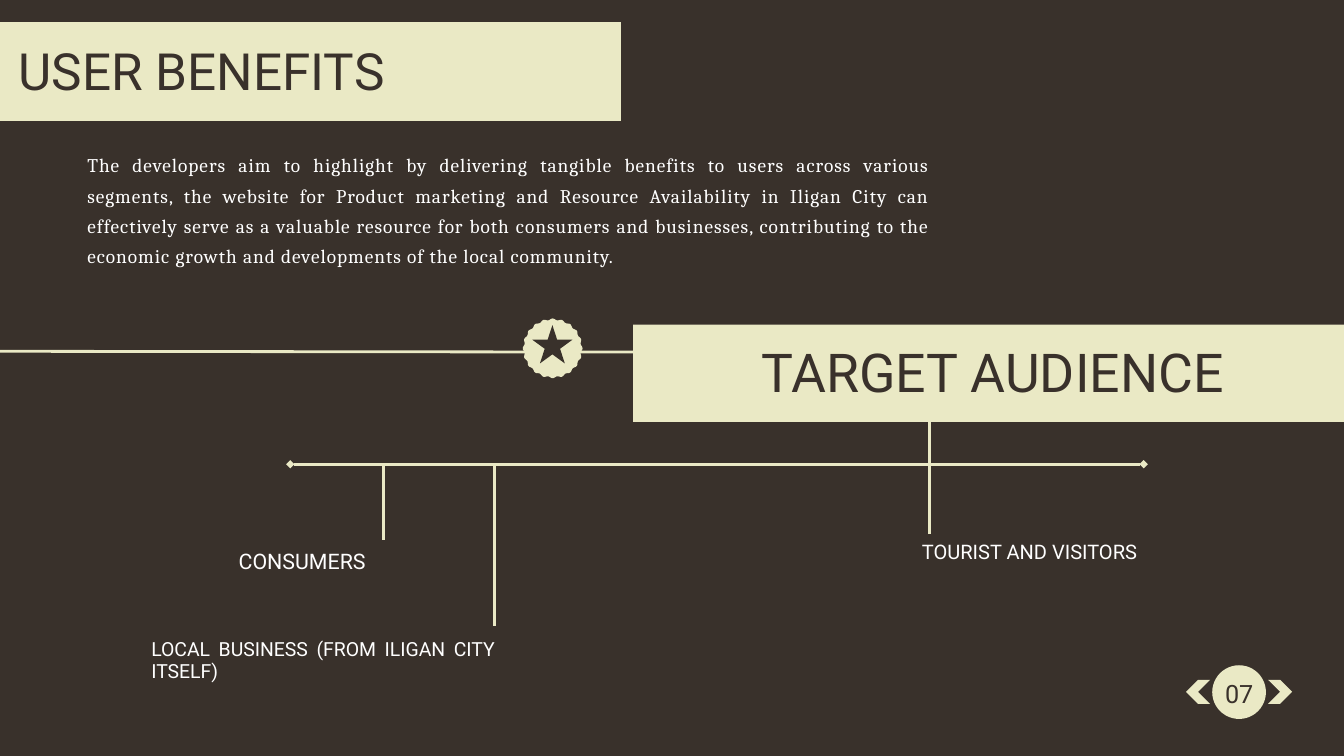
"""Build the user benefits and target audience slide."""
from math import cos, pi, sin

from pptx import Presentation
from pptx.dml.color import RGBColor
from pptx.enum.shapes import MSO_CONNECTOR, MSO_SHAPE
from pptx.enum.text import MSO_ANCHOR, MSO_AUTO_SIZE, PP_ALIGN
from pptx.oxml.ns import qn
from pptx.util import Cm, Pt
from lxml import etree

CREAM = RGBColor(0xEA, 0xE9, 0xC5)
BROWN = RGBColor(0x39, 0x31, 0x2B)
WHITE = RGBColor(0xFF, 0xFF, 0xFF)
LEFT, CENTER, JUSTIFY = PP_ALIGN.LEFT, PP_ALIGN.CENTER, PP_ALIGN.JUSTIFY
TOP, NO_FIT = MSO_ANCHOR.TOP, MSO_AUTO_SIZE.NONE
STRAIGHT = MSO_CONNECTOR.STRAIGHT
RECT, OVAL = MSO_SHAPE.RECTANGLE, MSO_SHAPE.OVAL
CHEVRON, STAR = MSO_SHAPE.CHEVRON, MSO_SHAPE.STAR_5_POINT


def paint(sp, color):
    sp.shadow.inherit = False
    sp.fill.solid()
    sp.fill.fore_color.rgb = color
    sp.line.fill.background()


def write(sp, box, text, size, spacing, color, align, font="Roboto"):
    sp.left, sp.top, sp.width, sp.height = [Cm(v) for v in box]
    tf = sp.text_frame
    tf.word_wrap = True
    tf.auto_size = NO_FIT
    tf.vertical_anchor = TOP
    tf.margin_left = tf.margin_top = tf.margin_right = tf.margin_bottom = 0
    p = tf.paragraphs[0]
    p.alignment = align
    p.line_spacing = Pt(spacing)
    p.space_before = Pt(0)
    r = p.add_run()
    r.text = text
    r.font.name = font
    r.font.size = Pt(size)
    r.font.color.rgb = color
    return p


prs = Presentation()
prs.slide_width, prs.slide_height = Cm(50.8), Cm(28.58)
s = prs.slides.add_slide(prs.slide_layouts[1])
s.background.fill.solid()
s.background.fill.fore_color.rgb = BROWN
title, body = s.placeholders

lines = [
    (0, 13.28, 23.93, 13.31),
    (18.69, 23.65, 18.69, 17.55),
    (14.5, 20.4, 14.5, 17.55),
    (35.13, 20.19, 35.13, 15.29),
    (10.97, 17.55, 43.23, 17.55),
]
for ends in lines:
    line = s.shapes.add_connector(STRAIGHT, *[Cm(v) for v in ends])
    line.line.color.rgb = CREAM
    line.line.width = Pt(3)
    etree.SubElement(line.element.spPr, qn("a:effectLst"))
timeline = line.line._get_or_add_ln()
for end in ("a:headEnd", "a:tailEnd"):
    etree.SubElement(timeline, qn(end), type="diamond")

points = []
for i in range(160):
    angle = 2 * pi * i / 160
    radius = 1.1 + 0.03 * cos(20 * angle)
    points.append((Cm(20.89 + radius * cos(angle)), Cm(13.17 + radius * sin(angle))))
builder = s.shapes.build_freeform(*points[0])
builder.add_line_segments(points[1:])
badge = builder.convert_to_shape()
paint(badge, CREAM)

shapes = [
    (RECT, 0, 0.84, 23.47, 3.73, 0, CREAM),
    (RECT, 23.93, 12.27, 26.87, 3.68, 0, CREAM),
    (STAR, 20.12, 12.29, 1.52, 1.45, 0, BROWN),
    (OVAL, 45.82, 25.15, 2.03, 2.03, 0, CREAM),
    (CHEVRON, 47.93, 25.7, 0.91, 0.91, 0, CREAM),
    (CHEVRON, 44.83, 25.7, 0.91, 0.91, 180, CREAM),
]
for kind, x, y, w, h, rotation, color in shapes:
    sp = s.shapes.add_shape(kind, Cm(x), Cm(y), Cm(w), Cm(h))
    sp.rotation = rotation
    paint(sp, color)

for sp in (title, body):
    sp.element.getparent().append(sp.element)
write(title, (0.71, 1.09, 47.24, 2.74), "USER BENEFITS", 54.9, 76.8, BROWN, JUSTIFY)
p = write(
    body, (3.3, 5.54, 31.88, 5.23),
    "The developers aim to highlight by delivering tangible benefits to users across "
    "various segments, the website for Product marketing and Resource Availability in "
    "Iligan City can effectively serve as a valuable resource for both consumers and "
    "businesses, contributing to the economic growth and developments of the local "
    "community.",
    20.7, 32.4, WHITE, JUSTIFY, "Cambria")
p.runs[0].font._element.set("spc", "110")
pPr = p._p.get_or_add_pPr()
pPr.set("marL", "0")
pPr.set("indent", "0")
etree.SubElement(pPr, qn("a:buNone"))

labels = [
    ((45.9, 25.45, 1.88, 1.27), "07", 27, 37.8, BROWN, CENTER),
    ((28.78, 12.42, 21.21, 2.87), "TARGET AUDIENCE", 57.4, 80.4, BROWN, JUSTIFY),
    ((9.02, 20.75, 5.92, 1.88), "CONSUMERS", 22.9, 26.3, WHITE, LEFT),
    ((34.85, 20.42, 9.98, 1.75), "TOURIST AND VISITORS", 21.5, 24.7, WHITE, LEFT),
    ((5.72, 24.13, 12.98, 2.46), "LOCAL BUSINESS (FROM ILIGAN CITY ITSELF)",
     20.8, 23.9, WHITE, JUSTIFY),
]
for label in labels:
    write(s.shapes.add_textbox(0, 0, 0, 0), *label)

prs.save("out.pptx")
